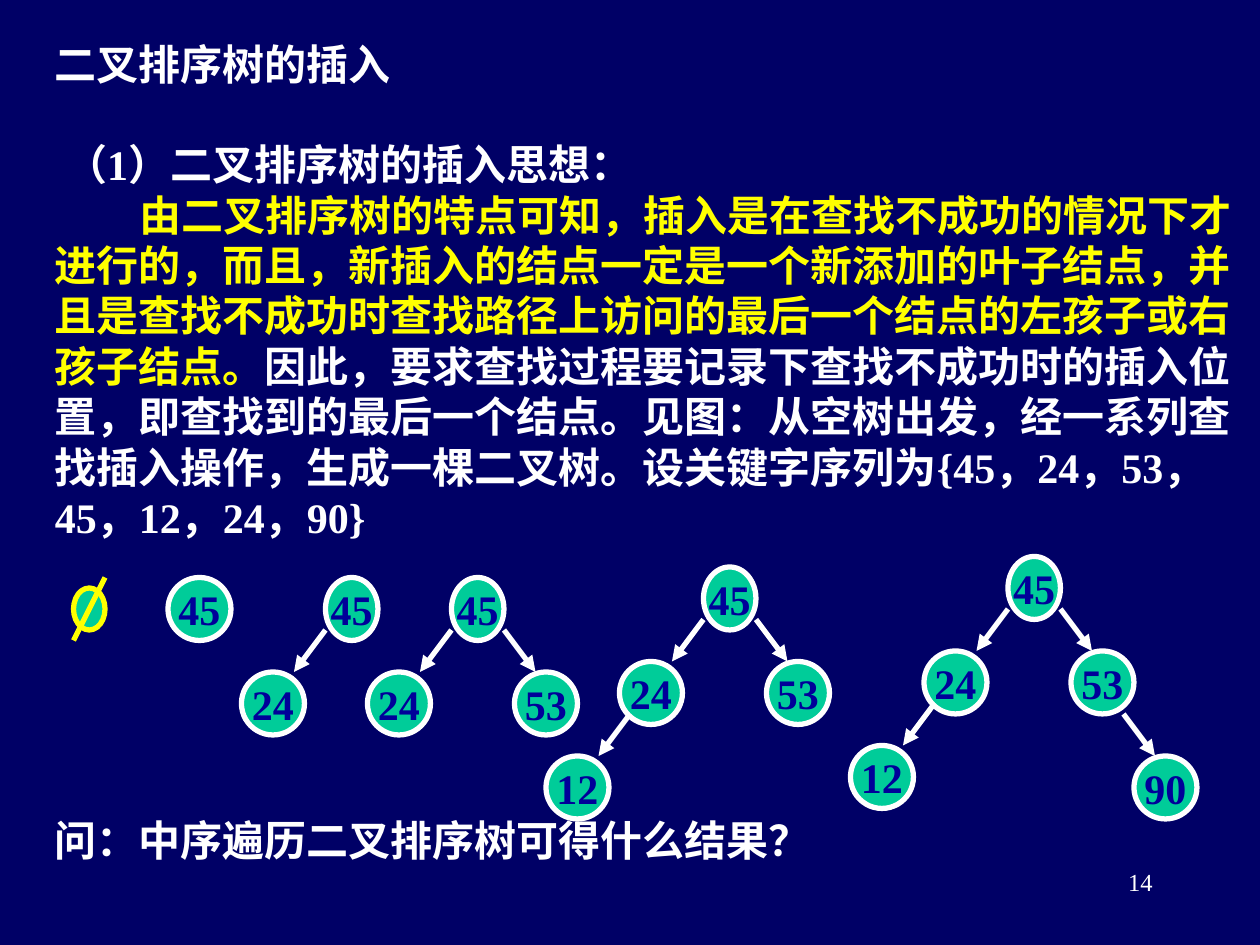
from lxml import etree
from pptx import Presentation
from pptx.dml.color import RGBColor
from pptx.enum.shapes import MSO_CONNECTOR, MSO_SHAPE
from pptx.enum.text import MSO_ANCHOR, MSO_AUTO_SIZE, PP_ALIGN
from pptx.oxml.ns import qn
from pptx.util import Cm, Pt

OVAL = MSO_SHAPE.OVAL
STRAIGHT = MSO_CONNECTOR.STRAIGHT
TOP, MIDDLE = MSO_ANCHOR.TOP, MSO_ANCHOR.MIDDLE
NO_FIT = MSO_AUTO_SIZE.NONE
LEFT, CENTER, RIGHT = PP_ALIGN.LEFT, PP_ALIGN.CENTER, PP_ALIGN.RIGHT

NAVY = RGBColor(0x00, 0x00, 0x66)
WHITE = RGBColor(0xFF, 0xFF, 0xFF)
YELLOW = RGBColor(0xFF, 0xFF, 0x00)
GREEN = RGBColor(0x00, 0xCC, 0x99)
BLUE = RGBColor(0x00, 0x00, 0x99)
FONT = "Times New Roman"

NODE = 6
ROOT_WIDTH = 5
L24, R53 = ("24", -8, 9), ("53", 6, 9)
L12, R90 = ("12", -15, 18), ("90", 12, 19)
TREES = [
    (31, 55, [L24]),
    (43, 55, [L24, R53]),
    (67, 54, [L24, R53, L12]),
    (96, 53, [L24, R53, L12, R90]),
]

TITLE = "二叉排序树的插入"
HEADING = "（1）二叉排序树的插入思想："
KEY_POINT = (
    "由二叉排序树的特点可知，插入是在查找不成功的情况下才进行的，而且，"
    "新插入的结点一定是一个新添加的叶子结点，并且是查找不成功时查找路径上"
    "访问的最后一个结点的左孩子或右孩子结点。"
)
DETAIL = (
    "因此，要求查找过程要记录下查找不成功时的插入位置，即查找到的最后一个结点。"
    "见图：从空树出发，经一系列查找插入操作，生成一棵二叉树。"
    "设关键字序列为{45，24，53，45，12，24，90}"
)
QUESTION = "问：中序遍历二叉排序树可得什么结果？"


def grid(n):
    return Cm(n * 2.54 / 12)


def add_run(p, text, color=WHITE, size=24, bold=True):
    r = p.add_run()
    r.text = text
    r.font.name = FONT
    r.font.size = Pt(size)
    r.font.bold = bold
    r.font.color.rgb = color


def place_text(sp, left, top, width, height):
    sp.left, sp.top, sp.width, sp.height = left, top, width, height
    tf = sp.text_frame
    tf.word_wrap = True
    tf.auto_size = NO_FIT
    tf.vertical_anchor = TOP
    return tf


def format_paragraph(p, indent):
    p.alignment = LEFT
    p.space_before = Pt(0)
    pPr = p._p.get_or_add_pPr()
    pPr.set("marL", "0")
    pPr.set("indent", str(indent))
    etree.SubElement(pPr, qn("a:buNone"))


def add_title(s, left, top, width, height):
    p = place_text(s.shapes.title, left, top, width, height).paragraphs[0]
    p.alignment = LEFT
    add_run(p, TITLE)


def add_body(s, left, top, width, height):
    tf = place_text(s.placeholders[1], left, top, width, height)
    p = tf.paragraphs[0]
    format_paragraph(p, Cm(0.21))
    add_run(p, HEADING)
    p = tf.add_paragraph()
    format_paragraph(p, Cm(1.7))
    add_run(p, KEY_POINT, YELLOW)
    add_run(p, DETAIL)


def add_label(s, box, text, align=LEFT, size=24, bold=True):
    sp = s.shapes.add_textbox(*box)
    p = place_text(sp, *box).paragraphs[0]
    p.alignment = align
    add_run(p, text, size=size, bold=bold)


def add_oval(shapes, x, y, width, height, color):
    sp = shapes.add_shape(OVAL, grid(x), grid(y), grid(width), grid(height))
    sp.shadow.inherit = False
    sp.fill.solid()
    sp.fill.fore_color.rgb = GREEN
    sp.line.color.rgb = color
    sp.line.width = Pt(3)
    return sp


def add_node(shapes, key, x, y, width=NODE):
    tf = add_oval(shapes, x, y, width, NODE, WHITE).text_frame
    tf.word_wrap = False
    tf.vertical_anchor = MIDDLE
    p = tf.paragraphs[0]
    p.alignment = CENTER
    add_run(p, key, BLUE)


def add_line(shapes, x1, y1, x2, y2, color, arrow=False):
    line = shapes.add_connector(STRAIGHT, grid(x1), grid(y1), grid(x2), grid(y2))
    line.line.color.rgb = color
    line.line.width = Pt(3)
    spPr = line.element.spPr
    if arrow:
        etree.SubElement(spPr.find(qn("a:ln")), qn("a:tailEnd"), type="triangle")
    etree.SubElement(spPr, qn("a:effectLst"))


def add_empty_tree(s, x, y):
    shapes = s.shapes.add_group_shape().shapes
    add_oval(shapes, x, y + 1, 3, 4, YELLOW)
    add_line(shapes, x + 3, y, x, y + 6, YELLOW)


def add_tree(s, x, y, children):
    shapes = s.shapes.add_group_shape().shapes
    add_node(shapes, "45", x, y, ROOT_WIDTH)
    for key, dx, dy in children:
        add_node(shapes, key, x + dx, y + dy)
        tip, step = (5, 3) if dx < 0 else (2, -3)
        tip_x, tip_y = x + dx + tip, y + dy
        add_line(shapes, tip_x + step, tip_y - 4, tip_x, tip_y, WHITE, arrow=True)


def main():
    prs = Presentation()
    prs.slide_width, prs.slide_height = Cm(25.4), Cm(19.05)
    s = prs.slides.add_slide(prs.slide_layouts[1])
    s.background.fill.solid()
    s.background.fill.fore_color.rgb = NAVY

    add_title(s, Cm(0.85), Cm(0.64), Cm(24.55), Cm(1.27))
    add_body(s, Cm(0.85), Cm(2.67), Cm(24.55), Cm(8.4))
    add_empty_tree(s, 7, 55)
    add_node(s.shapes, "45", 16, 55)
    for x, y, children in TREES:
        add_tree(s, x, y, children)
    add_label(s, (Cm(0.85), Cm(16.3), Cm(19.26), Cm(1.27)), QUESTION)
    add_label(s, (Cm(18.2), Cm(17.36), Cm(5.29), Cm(1.27)), "14", RIGHT, 14, False)
    prs.save("out.pptx")


if __name__ == "__main__":
    main()
